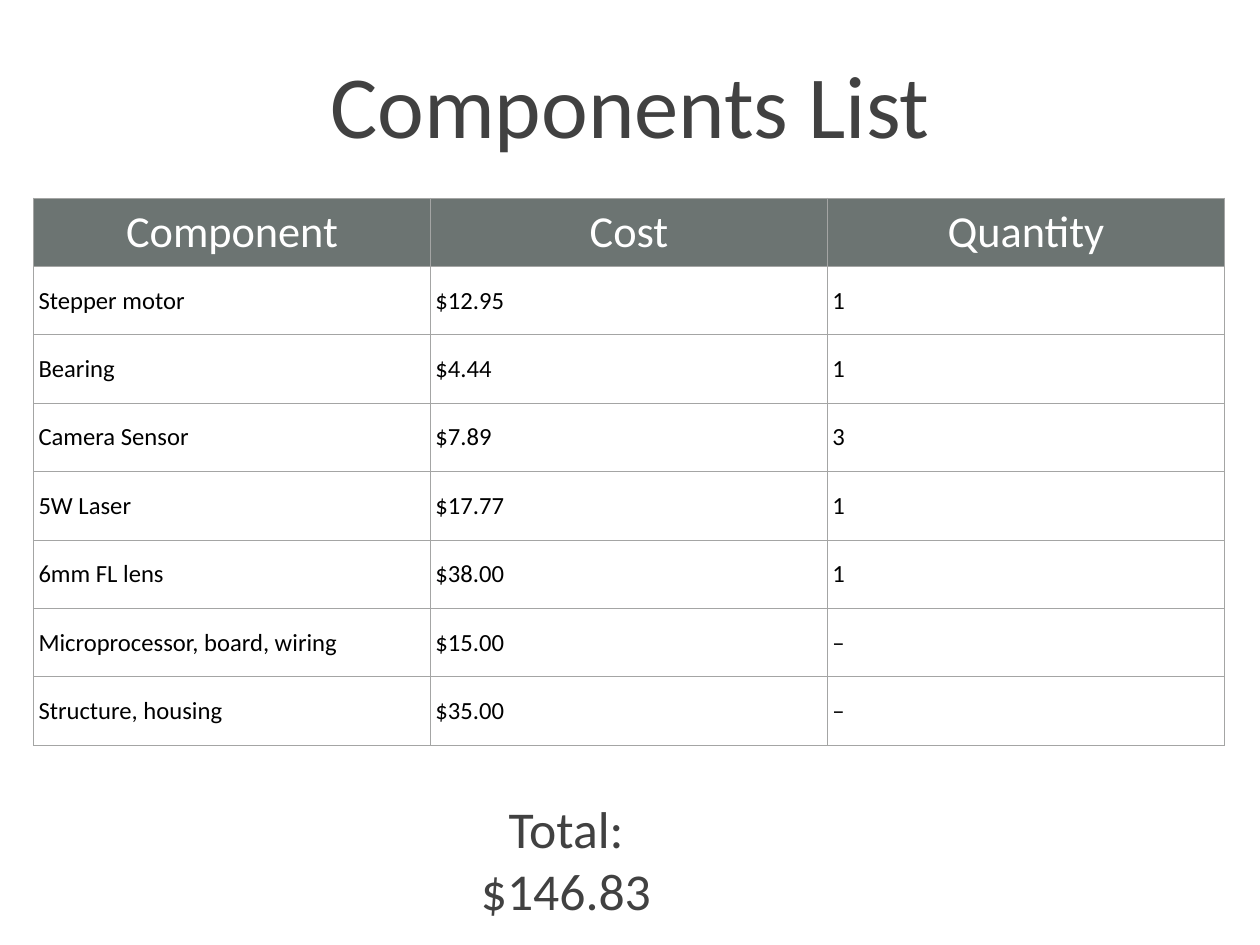
"""Builds the components list slide with its cost table and total."""
import pptx
import pptx.dml.color
import pptx.enum.text
import pptx.oxml
import pptx.oxml.ns
import pptx.util

TITLE = "Components List"
HEADINGS = ("Component", "Cost", "Quantity")
COMPONENTS = [
    ("Stepper motor", "$12.95", "1"),
    ("Bearing", "$4.44", "1"),
    ("Camera Sensor", "$7.89", "3"),
    ("5W Laser", "$17.77", "1"),
    ("6mm FL lens", "$38.00", "1"),
    ("Microprocessor, board, wiring", "$15.00", "–"),
    ("Structure, housing", "$35.00", "–"),
]
TOTAL = "Total: $146.83"

FONT = "Calibri"
DARK, BLACK, WHITE = "414141", "000000", "FFFFFF"
HEADING_FILL, RULE = "6C7472", "A4A5A4"
SLIDE_SIZE = (1024, 768)
TITLE_BOX = (28, 31.7, 968, 99.4)
TABLE_LEFT, TABLE_TOP = 27.3, 161
COLUMN_WIDTH, ROW_HEIGHT = 322.6, 55.6
TOTAL_BOX = (385, 646, 150, 104)
MARGIN = 4

Pt = pptx.util.Pt
ALIGN = pptx.enum.text.PP_ALIGN
ANCHOR = pptx.enum.text.MSO_ANCHOR


def color(value):
    return pptx.dml.color.RGBColor.from_string(value)


def write(frame, text, size, ink=DARK, align=ALIGN.CENTER, anchor=ANCHOR.MIDDLE, margin=MARGIN):
    frame.word_wrap = True
    frame.vertical_anchor = anchor
    frame.margin_left = frame.margin_right = Pt(margin)
    frame.margin_top = frame.margin_bottom = Pt(margin)
    line = frame.paragraphs[0]
    line.alignment = align
    run = line.add_run()
    run.text = text
    run.font.name, run.font.size = FONT, Pt(size)
    run.font.color.rgb = color(ink)


def add_borders(cell):
    properties = cell._tc.get_or_add_tcPr()
    for position, side in enumerate(("lnL", "lnR", "lnT", "lnB")):
        border = pptx.oxml.parse_xml(
            f'<a:{side} {pptx.oxml.ns.nsdecls("a")} w="{Pt(1)}"><a:solidFill>'
            f'<a:srgbClr val="{RULE}"/></a:solidFill></a:{side}>')
        properties.insert(position, border)


def add_components(slide):
    rows = [HEADINGS, *COMPONENTS]
    table = slide.shapes.add_table(
        len(rows), len(HEADINGS), Pt(TABLE_LEFT), Pt(TABLE_TOP),
        Pt(COLUMN_WIDTH * len(HEADINGS)), Pt(ROW_HEIGHT * len(rows))).table
    table.horz_banding = False
    for column in table.columns:
        column.width = Pt(COLUMN_WIDTH)
    for row_index, row in enumerate(rows):
        table.rows[row_index].height = Pt(ROW_HEIGHT)
        for column_index, text in enumerate(row):
            cell = table.cell(row_index, column_index)
            cell.vertical_anchor = ANCHOR.MIDDLE
            cell.margin_left = cell.margin_right = Pt(MARGIN)
            cell.margin_top = cell.margin_bottom = Pt(MARGIN)
            if row_index == 0:
                cell.fill.solid()
                cell.fill.fore_color.rgb = color(HEADING_FILL)
                write(cell.text_frame, text, 36, ink=WHITE)
            else:
                cell.fill.background()
                write(cell.text_frame, text, 20, ink=BLACK, align=ALIGN.LEFT)
            body = cell._tc.txBody.bodyPr
            body.attrib.clear()
            add_borders(cell)


def main():
    deck = pptx.Presentation()
    deck.slide_width, deck.slide_height = map(Pt, SLIDE_SIZE)
    slide = deck.slides.add_slide(deck.slide_layouts[6])
    title = slide.shapes.add_textbox(*map(Pt, TITLE_BOX))
    write(title.text_frame, TITLE, 72, anchor=ANCHOR.BOTTOM)
    add_components(slide)
    total = slide.shapes.add_textbox(*map(Pt, TOTAL_BOX))
    write(total.text_frame, TOTAL, 42, margin=0)
    deck.save("out.pptx")


if __name__ == "__main__":
    main()
